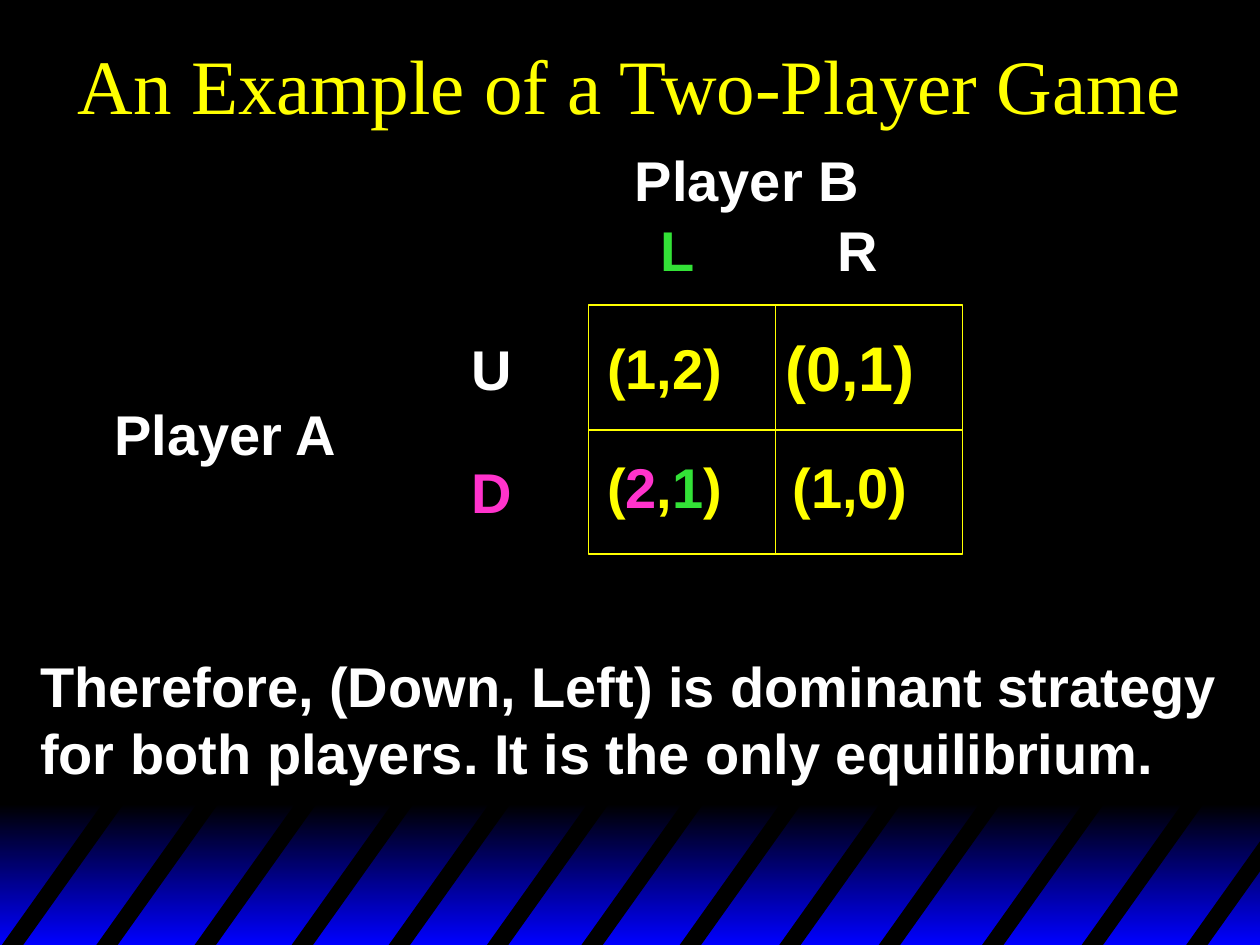
"""Build a slide showing the payoff matrix of a two-player game."""
from lxml.etree import SubElement
from pptx import Presentation
from pptx.dml.color import RGBColor
from pptx.enum.shapes import MSO_CONNECTOR, MSO_SHAPE
from pptx.enum.text import MSO_ANCHOR, MSO_AUTO_SIZE, PP_ALIGN
from pptx.oxml.ns import qn
from pptx.util import Inches, Pt

BLACK = RGBColor(0x00, 0x00, 0x00)
BLUE = RGBColor(0x00, 0x00, 0xFF)
WHITE = RGBColor(0xFF, 0xFF, 0xFF)
YELLOW = RGBColor(0xFF, 0xFF, 0x00)
GREEN = RGBColor(0x33, 0xE2, 0x37)
PINK = RGBColor(0xFF, 0x33, 0xCC)

WIDTH, HEIGHT = 10, 7.5
TITLE = "An Example of a Two-Player Game"
CONCLUSION = [
    "Therefore, (Down, Left) is dominant strategy",
    "for both players. It is the only equilibrium.",
]

MATRIX = (4.67, 2.42, 2.97, 1.98)
COLUMNS = {"player A": 1.8, "moves A": 3.9, "left": 5.28, "right": 6.75,
           "player B": 5.93, "move L": 5.38, "move R": 6.81}
ROWS = {"player B": 1.43, "moves B": 1.98, "up": 2.92, "down": 3.86,
        "player A": 3.44, "move U": 2.93, "move D": 3.9}
LABELS = [
    ("player B", "player B", 1.98, 32, [("Player B", WHITE)]),
    ("player A", "player A", 1.98, 32, [("Player A", WHITE)]),
    ("move L", "moves B", 0.47, 32, [("L", GREEN)]),
    ("move R", "moves B", 0.52, 32, [("R", WHITE)]),
    ("moves A", "move U", 0.52, 32, [("U", WHITE)]),
    ("moves A", "move D", 0.52, 32, [("D", PINK)]),
    ("left", "up", 1.12, 32, [("(1,2)", YELLOW)]),
    ("left", "down", 1.12, 32,
     [("(", YELLOW), ("2", PINK), (",", YELLOW), ("1", GREEN), (")", YELLOW)]),
    ("right", "up", 1.23, 36, [("(0,1)", YELLOW)]),
    ("right", "down", 1.12, 32, [("(1,0)", YELLOW)]),
]

BAND_TOP, BAND_RIGHT = 6.38, 10.02
STRIPE_TOP, STRIPE_BOTTOM, STRIPE_WIDTH, STRIPE_LEAN = 6.34, 7.52, 0.17, 0.84
STRIPE_LEFTS = [0, 0.75, 1.53, 2.3, 3.07, 3.85, 4.6, 5.38, 6.17, 6.96, 7.78, 8.57, 9.4]


def add_text(slide, box, paragraphs, size, font="Arial", bold=True,
             fit=MSO_AUTO_SIZE.SHAPE_TO_FIT_TEXT, wrap=False,
             align=PP_ALIGN.LEFT, anchor=MSO_ANCHOR.TOP):
    frame = slide.shapes.add_textbox(*map(Inches, box)).text_frame
    frame.auto_size, frame.word_wrap, frame.vertical_anchor = fit, wrap, anchor
    for index, runs in enumerate(paragraphs):
        paragraph = frame.add_paragraph() if index else frame.paragraphs[0]
        paragraph.alignment = align
        for words, color in runs:
            run = paragraph.add_run()
            run.text = words
            run.font.name, run.font.size, run.font.bold = font, Pt(size), bold
            run.font.color.rgb = color


def add_band(slide):
    band = slide.shapes.add_shape(
        MSO_SHAPE.RECTANGLE, 0, Inches(BAND_TOP), Inches(BAND_RIGHT), Inches(HEIGHT - BAND_TOP))
    band.shadow.inherit = False
    band.line.fill.background()
    band.fill.gradient()
    band.fill.gradient_angle = 270
    for stop, color, position in zip(band.fill.gradient_stops, (BLACK, BLUE), (0, 1)):
        stop.color.rgb, stop.position = color, position


def add_stripe(slide, left):
    rise = (STRIPE_BOTTOM - STRIPE_TOP) / STRIPE_LEAN

    def upper_end(foot):
        x = min(foot + STRIPE_LEAN, BAND_RIGHT)
        return Inches(x), Inches(STRIPE_BOTTOM - (x - foot) * rise)

    right = left + STRIPE_WIDTH
    bottom = Inches(STRIPE_BOTTOM)
    builder = slide.shapes.build_freeform(Inches(left), bottom)
    builder.add_line_segments([upper_end(left), upper_end(right), (Inches(right), bottom)])
    stripe = builder.convert_to_shape()
    stripe.shadow.inherit = False
    stripe.fill.solid()
    stripe.fill.fore_color.rgb = BLACK
    stripe.line.fill.background()


def add_matrix(slide):
    matrix = slide.shapes.add_shape(MSO_SHAPE.RECTANGLE, *map(Inches, MATRIX))
    matrix.shadow.inherit = False
    matrix.fill.background()
    matrix.line.color.rgb, matrix.line.width = YELLOW, Pt(1)
    for start, end in ((0, 2), (1, 3)):
        divider = slide.shapes.add_connector(MSO_CONNECTOR.STRAIGHT, 0, 0, 0, 0)
        divider.begin_connect(matrix, start)
        divider.end_connect(matrix, end)
        divider.line.color.rgb, divider.line.width = YELLOW, Pt(1)
        SubElement(divider.element.spPr, qn("a:effectLst"))


def main():
    deck = Presentation()
    deck.slide_width, deck.slide_height = Inches(WIDTH), Inches(HEIGHT)
    slide = deck.slides.add_slide(deck.slide_layouts[6])
    slide.background.fill.solid()
    slide.background.fill.fore_color.rgb = BLACK

    add_band(slide)
    for left in STRIPE_LEFTS:
        add_stripe(slide, left)
    add_text(slide, (0, 0, WIDTH, 1.33), [[(TITLE, YELLOW)]], 44, "Times New Roman",
             bold=False, fit=MSO_AUTO_SIZE.NONE, wrap=True,
             align=PP_ALIGN.CENTER, anchor=MSO_ANCHOR.MIDDLE)
    add_text(slide, (0.22, 5.12, 9.55, 1.7), [[(line, WHITE)] for line in CONCLUSION], 32)
    for column, row, width, size, runs in LABELS:
        height = size / 50
        box = (COLUMNS[column] - width / 2, ROWS[row] - height / 2, width, height)
        add_text(slide, box, [runs], size)
    add_matrix(slide)
    deck.save("out.pptx")


if __name__ == "__main__":
    main()
